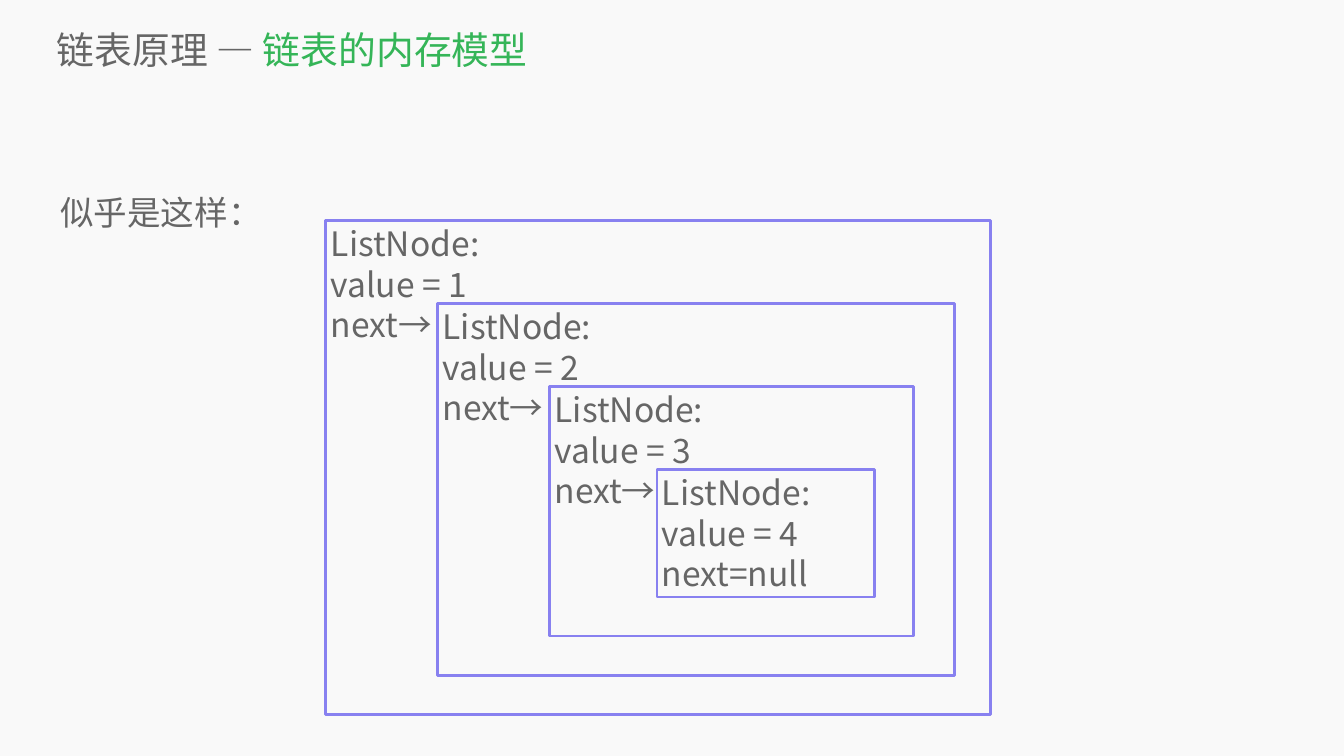
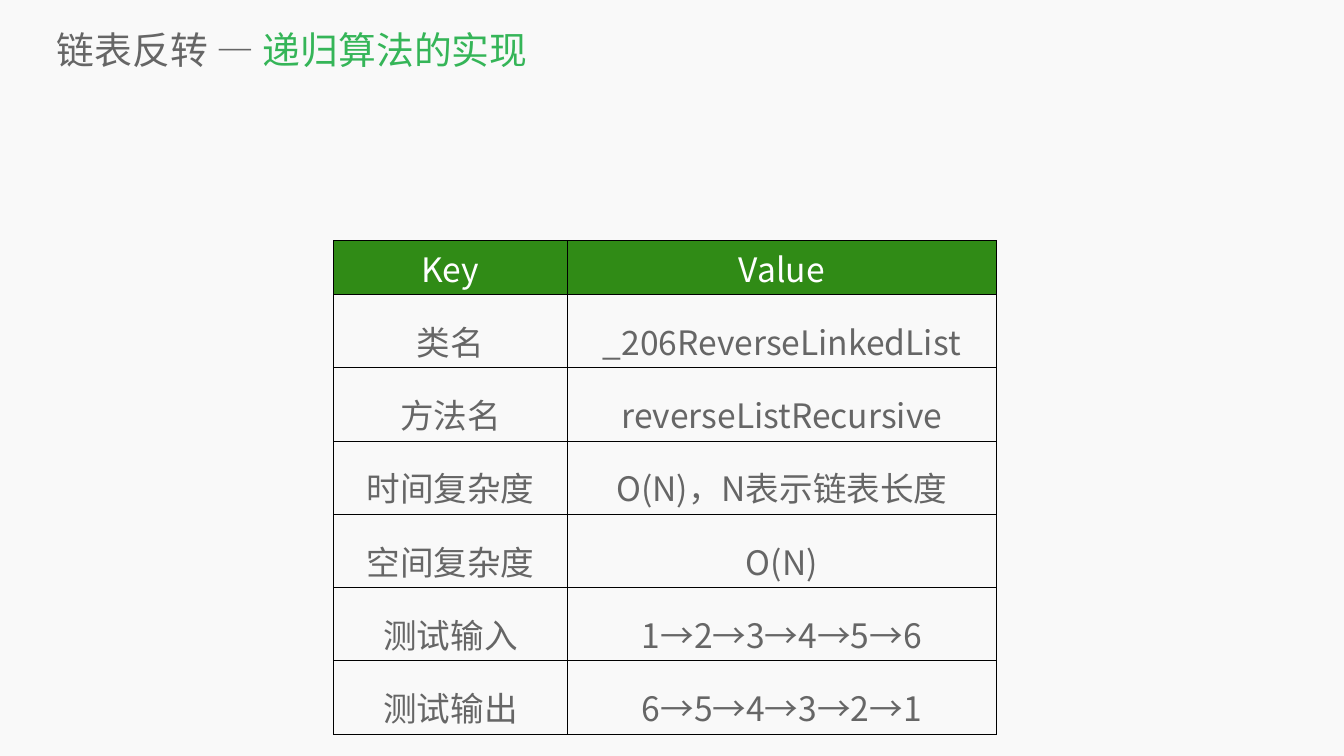
from lxml.etree import SubElement
from pptx import Presentation
from pptx.dml.color import RGBColor
from pptx.enum.shapes import MSO_SHAPE
from pptx.enum.text import MSO_ANCHOR, PP_ALIGN
from pptx.oxml.ns import qn
from pptx.util import Pt

# Content
MEMORY_TITLE = ("链表原理 — ", "链表的内存模型")
MEMORY_INTRO = "似乎是这样："
# left, width, last line of each nested node
NODES = [
    (465.5, 949.9, "next→"),
    (625.3, 738.3, "next→"),
    (785.3, 520, "next→"),
    (938.5, 310.5, "next=null"),
]
REVERSE_TITLE = ("链表反转 — ", "递归算法的实现")
TABLE_ROWS = [
    ("Key", "Value"),
    ("类名", "_206ReverseLinkedList"),
    ("方法名", "reverseListRecursive"),
    ("时间复杂度", "O(N)，N表示链表长度"),
    ("空间复杂度", "O(N)"),
    ("测试输入", "1→2→3→4→5→6"),
    ("测试输出", "6→5→4→3→2→1"),
]

# Shared style
FONT = "Noto Sans CJK SC"
PAPER, GREY, GREEN, WHITE = "F9F9F9", "666666", "35B558", "FFFFFF"
VIOLET, HEADER_GREEN, BLACK = "8881F0", "308B16", "000000"
TITLE_SIZE, BODY_SIZE = 54, 48
LOOSE_SPACING = 1.4

# Layout in points
TITLE_AREA = (81.4, 33.8, 1811.5, 73.4)
INTRO_AREA = (86, 251.3, 1748.2, 809.3)
NODE_TOP, NODE_STEP = 315.4, 118.6
NODE_HEIGHT, NODE_SHRINK = 704.9, 174.4
TABLE_LEFT, TABLE_TOP = 476.4, 343.8
COLUMN_WIDTHS = (334.1, 612.7)
HEADER_HEIGHT, ROW_HEIGHT = 77, 104.6


def color(value):
    """Turn a hex string into a colour."""
    return RGBColor.from_string(value)


def set_all(target, values):
    """Set every attribute named in a dict."""
    for name, value in values.items():
        setattr(target, name, value)


def add_span(para, text, tint=GREY, size=BODY_SIZE):
    """Add a run in the deck font, for Latin and Chinese alike."""
    span = para.add_run()
    span.text = text
    set_all(span.font, {"name": FONT, "size": Pt(size)})
    span.font.color.rgb = color(tint)
    SubElement(span.font._element, qn("a:ea"), typeface=FONT)


def add_text_box(slide, area, anchor=MSO_ANCHOR.TOP):
    """Add a wrapping text box without margins and return its first paragraph."""
    frame = slide.shapes.add_textbox(*map(Pt, area)).text_frame
    set_all(frame, {"word_wrap": True, "vertical_anchor": anchor,
                    "margin_left": 0, "margin_right": 0,
                    "margin_top": 0, "margin_bottom": 0})
    return frame.paragraphs[0]


def add_page(deck, title):
    """Add a blank slide with the background and the two-colour title."""
    slide = deck.slides.add_slide(deck.slide_layouts[6])
    slide.background.fill.solid()
    slide.background.fill.fore_color.rgb = color(PAPER)
    para = add_text_box(slide, TITLE_AREA, MSO_ANCHOR.MIDDLE)
    for text, tint in zip(title, (GREY, GREEN)):
        add_span(para, text, tint, TITLE_SIZE)
    return slide


def add_node(group, index, left, width, last_line):
    """Add one outlined list node, nested inside the one before it."""
    area = (left, NODE_TOP + index * NODE_STEP,
            width, NODE_HEIGHT - index * NODE_SHRINK)
    box = group.shapes.add_shape(MSO_SHAPE.RECTANGLE, *map(Pt, area))
    box.shadow.inherit = False
    box.fill.background()
    box.line.color.rgb = color(VIOLET)
    box.line.width = Pt(4)
    frame = box.text_frame
    set_all(frame, {"word_wrap": True, "vertical_anchor": MSO_ANCHOR.TOP})
    for number, text in enumerate(("ListNode:", f"value = {index + 1}", last_line)):
        para = frame.add_paragraph() if number else frame.paragraphs[0]
        para.alignment = PP_ALIGN.LEFT
        add_span(para, text)


def add_borders(cell):
    """Draw a thin black line on each side of a cell."""
    properties = cell._tc.get_or_add_tcPr()
    for position, side in enumerate(("lnL", "lnR", "lnT", "lnB")):
        line = properties.makeelement(qn(f"a:{side}"), {"w": str(Pt(1))})
        fill = SubElement(line, qn("a:solidFill"))
        SubElement(fill, qn("a:srgbClr"), val=BLACK)
        properties.insert(position, line)


def add_table(slide):
    """Add the key and value table with a green header row."""
    heights = [HEADER_HEIGHT] + [ROW_HEIGHT] * (len(TABLE_ROWS) - 1)
    area = (TABLE_LEFT, TABLE_TOP, sum(COLUMN_WIDTHS), sum(heights))
    table = slide.shapes.add_table(
        len(TABLE_ROWS), len(COLUMN_WIDTHS), *map(Pt, area)).table
    set_all(table, {"first_row": False, "horz_banding": False})
    for column, width in zip(table.columns, COLUMN_WIDTHS):
        column.width = Pt(width)
    for row, height, texts in zip(table.rows, heights, TABLE_ROWS):
        row.height = Pt(height)
        is_header = texts is TABLE_ROWS[0]
        for cell, text in zip(row.cells, texts):
            if is_header:
                cell.fill.solid()
                cell.fill.fore_color.rgb = color(HEADER_GREEN)
            else:
                cell.fill.background()
            add_borders(cell)
            para = cell.text_frame.paragraphs[0]
            set_all(para, {"alignment": PP_ALIGN.CENTER,
                           "line_spacing": 1.0 if is_header else LOOSE_SPACING})
            add_span(para, text, WHITE if is_header else GREY)


def build():
    """Build both slides and save the deck."""
    deck = Presentation()
    set_all(deck, {"slide_width": Pt(1920), "slide_height": Pt(1080)})

    memory = add_page(deck, MEMORY_TITLE)
    intro = add_text_box(memory, INTRO_AREA)
    intro.line_spacing = LOOSE_SPACING
    add_span(intro, MEMORY_INTRO)
    group = memory.shapes.add_group_shape()
    for index, node in enumerate(NODES):
        add_node(group, index, *node)

    add_table(add_page(deck, REVERSE_TITLE))
    deck.save("out.pptx")


build()
